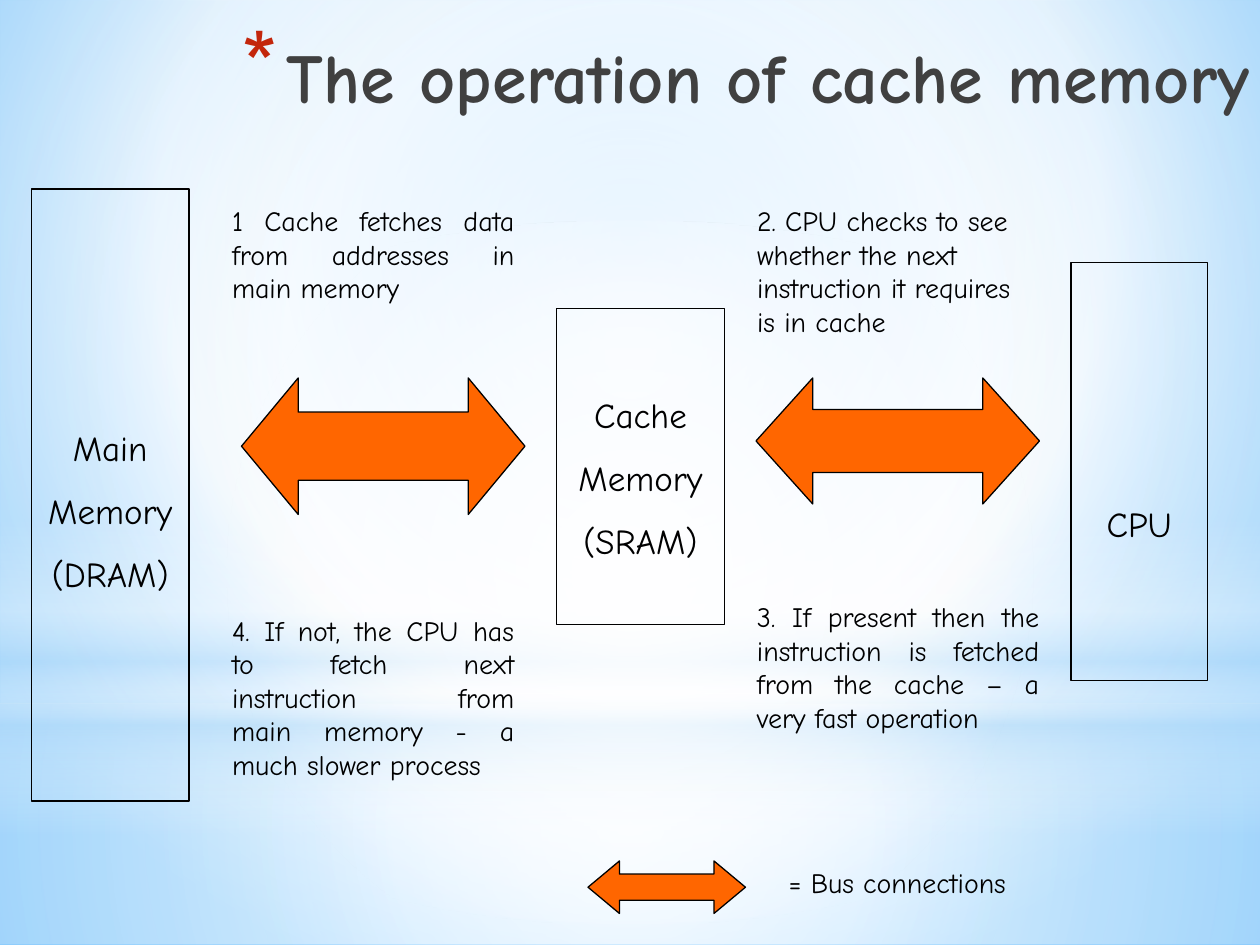
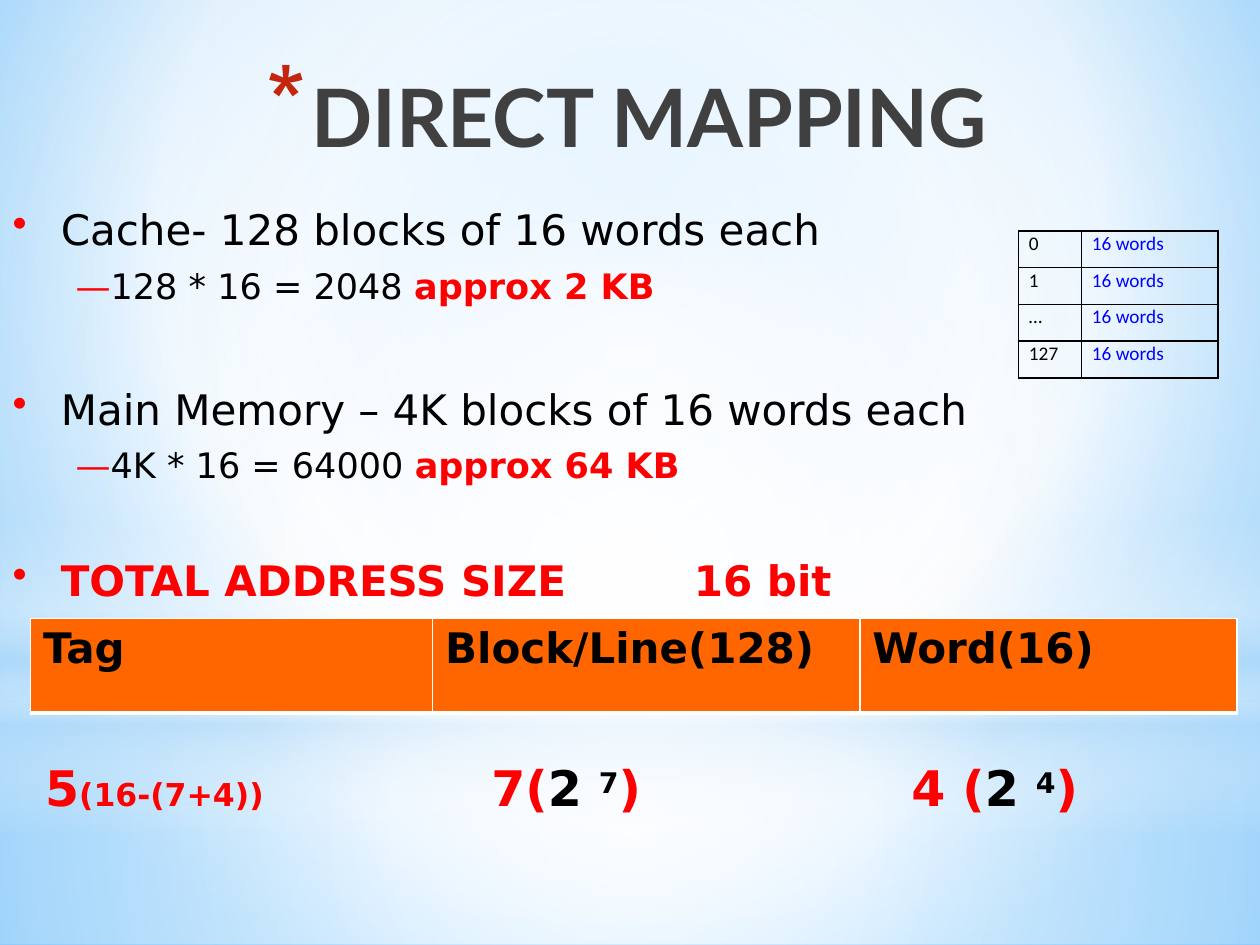
import copy
import lxml.etree
import pptx
import pptx.dml.color
import pptx.enum.shapes
import pptx.enum.text
import pptx.oxml.ns
import pptx.util

HUE = dict(ink="000000", gray="404040", red="FF0000", star="C3260C", fire="FF6600",
           blue="0000FF", white="FFFFFF", sky="B4DCFA", pale="9ED5FF", deep="5BB9FF")
SIDE = dict(l="lnL", r="lnR", t="lnT", b="lnB")
COMIC, SANS, LATO, CALI = "Comic Neue", "DejaVu Sans", "Lato", "Calibri"
SHAPE = pptx.enum.shapes.MSO_SHAPE
ALIGN = pptx.enum.text.PP_ALIGN
COLS, ROWS = 120, 90
MID = (50, 50, 50, 50)


def unit(n):
    return pptx.util.Inches(n * 10 / COLS)


def paint(hue):
    return pptx.dml.color.RGBColor.from_string(HUE[hue])


def node(top, tag, **attrs):
    attrs = {key: str(val) for key, val in attrs.items()}
    return lxml.etree.SubElement(top, pptx.oxml.ns.qn("a:" + tag), attrs)


def tint(top, hue, alpha=100):
    clr = node(top, "srgbClr", val=HUE[hue])
    if alpha < 100:
        node(clr, "alpha", val=alpha * 1000)


def fade(fill, root, stops, focus=None):
    fill.gradient()
    grad = next(root.iter(pptx.oxml.ns.qn("a:gradFill")))
    for kid in list(grad):
        grad.remove(kid)
    steps = node(grad, "gsLst")
    for pos, *tone in stops:
        tint(node(steps, "gs", pos=pos * 1000), *tone)
    if focus:
        ring = node(grad, "path", path="circle")
        node(ring, "fillToRect", **{k: v * 1000 for k, v in zip("ltrb", focus)})
    else:
        node(grad, "lin", ang=5400000, scaled=0)


def put(para, text, font=SANS, size=16, hue="ink", bold=False, base=0):
    for i, part in enumerate(text.split("\n")):
        if i:
            para.add_line_break()
        run = para.add_run()
        run.text = part
        run.font.name = font
        run.font.size = pptx.util.Pt(size)
        run.font.bold = bold
        run.font.color.rgb = paint(hue)
        if base:
            run._r.get_or_add_rPr().set("baseline", str(base * 1000))
    for br in para._p.findall(pptx.oxml.ns.qn("a:br")):
        br.append(copy.deepcopy(run._r.rPr))


class Deck:
    def __init__(self):
        self.prs = pptx.Presentation()
        self.prs.slide_width, self.prs.slide_height = unit(COLS), unit(ROWS)

    def slide(self):
        self.page = self.prs.slides.add_slide(self.prs.slide_layouts[6])
        fade(self.page.background.fill, self.page._element,
             [(0, "pale"), (60, "white"), (100, "deep")], (20, 10, 20, 60))
        rect = SHAPE.RECTANGLE
        layers = [
            (rect, 67, 23, [(0, "white", 91), (37, "white", 76), (100, "sky", 79)], MID),
            (rect, 0, 67, [(0, "white", 89), (48, "white", 62), (100, "sky", 79)], MID),
            (rect, 49.5, 30, [(0, "white", 0), (29, "white", 30), (45, "sky", 40),
                              (55, "white", 26), (65, "sky", 60), (100, "white", 0)], None),
            (SHAPE.OVAL, 21, 67, [(0, "white"), (56, "white", 0)], MID)]
        for kind, y, h, stops, focus in layers:
            band = self.shape(kind, 0, y, COLS, h)
            fade(band.fill, band._element, stops, focus)

    def shape(self, kind, x, y, w, h, fill=None, line=None):
        item = self.page.shapes.add_shape(kind, *map(unit, (x, y, w, h)))
        item.shadow.inherit = False
        if fill:
            item.fill.solid()
            item.fill.fore_color.rgb = paint(fill)
        else:
            item.fill.background()
        if line:
            item.line.color.rgb = paint(line)
            item.line.width = pptx.util.Pt(0.75)
        else:
            item.line.fill.background()
        return item

    def clear(self, frame, top=0):
        frame.word_wrap = True
        frame.margin_left = frame.margin_right = frame.margin_bottom = 0
        frame.margin_top = unit(top)
        return frame

    def frame(self, x, y, w, h):
        item = self.page.shapes.add_textbox(*map(unit, (x, y, w, h)))
        return self.clear(item.text_frame)

    def para(self, frame, *runs, align=ALIGN.LEFT, gap=0, left=0, hang=0,
             mark=None, tone="red", scale=100, tab=None):
        para = frame.paragraphs[0]
        if para.runs:
            para = frame.add_paragraph()
        para.alignment = align
        if gap:
            para.space_before = pptx.util.Pt(gap)
        props = para._p.get_or_add_pPr()
        props.set("marL", str(unit(left)))
        props.set("indent", str(unit(hang)))
        if mark:
            tint(node(props, "buClr"), tone)
            node(props, "buSzPct", val=scale * 1000)
            node(props, "buChar", char=mark)
        if tab:
            node(node(props, "tabLst"), "tab", pos=unit(tab), algn="l")
        for text, form in runs:
            put(para, text, **form)

    def title(self, x, y, w, h, text, font, size):
        form = dict(font=font, size=size, hue="gray", bold=True)
        self.para(self.frame(x, y, w, h), (text, form), align=ALIGN.RIGHT,
                  left=0.1, hang=-4.2, mark="*", tone="star", scale=128)

    def note(self, x, y, w, h, text, align=ALIGN.LEFT):
        self.para(self.frame(x, y, w, h), (text, dict(font=COMIC)), align=align)

    def block(self, x, y, w, h, text, top=0):
        item = self.shape(SHAPE.RECTANGLE, x, y, w, h, line="ink")
        frame = self.clear(item.text_frame, top)
        frame.vertical_anchor = pptx.enum.text.MSO_ANCHOR.MIDDLE
        self.para(frame, (text, dict(font=COMIC, size=20)), align=ALIGN.CENTER)
        if "\n" in text:
            frame.paragraphs[0].line_spacing = 1.5

    def arrow(self, x, y, w, h):
        item = self.shape(SHAPE.LEFT_RIGHT_ARROW, x, y, w, h, "fire", "ink")
        item.adjustments[0] = 0.5
        item.adjustments[1] = 0.2 * w / h

    def table(self, x, y, wide, high, rows, forms, pad, top, edge, fill=None, **thick):
        grid = self.page.shapes.add_table(
            len(rows), len(wide), *map(unit, (x, y, sum(wide), high * len(rows)))).table
        grid.first_row = grid.horz_banding = False
        for col, w in zip(grid.columns, wide):
            col.width = unit(w)
        for r, row in enumerate(rows):
            grid.rows[r].height = unit(high)
            for c, text in enumerate(row):
                cell = grid.cell(r, c)
                cell.margin_left, cell.margin_top = unit(pad), unit(top)
                cell.margin_right = cell.margin_bottom = 0
                put(cell.text_frame.paragraphs[0], text, **forms[c])
                props = cell._tc.get_or_add_tcPr()
                for side, tag in SIDE.items():
                    width = pptx.util.Pt(thick.get(side, 1))
                    tint(node(node(props, tag, w=width), "solidFill"), edge)
                if fill:
                    cell.fill.solid()
                    cell.fill.fore_color.rgb = paint(fill)
                else:
                    cell.fill.background()


def cache(deck):
    deck.slide()
    deck.title(7, 3.2, 112, 8.3, "The operation of cache memory", COMIC, 40)
    just = ALIGN.JUSTIFY
    deck.note(22.1, 19.4, 26.9, 10,
              "1 Cache fetches data\nfrom addresses in\nmain memory", just)
    deck.note(72.1, 19.4, 26, 13, "2. CPU checks to see\nwhether the next\n"
              "instruction it requires\nis in cache")
    deck.note(72.1, 57.1, 26.9, 16.3, "3. If present then the\ninstruction is fetched\n"
              "from the cache – a\nvery fast operation", just)
    deck.note(22.1, 58.4, 26.9, 16.3, "4. If not, the CPU has\nto fetch next\n"
              "instruction from\nmain memory - a\nmuch slower process", just)
    deck.block(3, 18, 15, 58.3, "Main\nMemory\n(DRAM)", 1)
    deck.block(102, 25, 13, 39.8, "CPU", 10)
    deck.block(53, 29.4, 16, 30.1, "Cache\nMemory\n(SRAM)")
    deck.arrow(23, 36, 27, 13)
    deck.arrow(72, 36, 27, 12)
    deck.arrow(56, 82, 15, 5)
    deck.note(75.1, 82.4, 22, 3.5, "= Bus connections")


def direct(deck):
    deck.slide()
    deck.title(6.4, 6.4, 87.6, 9.5, "DIRECT MAPPING", LATO, 46)
    big, small = dict(size=24), dict(size=20)
    red = dict(hue="red", bold=True)
    dot = dict(left=4.7, hang=-4.6, mark="•")
    body = deck.frame(1.1, 19.4, 107, 40)
    facts = [("Cache- 128 blocks of 16 words each", "128 * 16 = 2048 ", "approx 2 KB", 0),
             ("Main Memory – 4K blocks of 16 words each", "4K * 16 = 64000 ",
              "approx 64 KB", 44)]
    for head, sum_, size, gap in facts:
        deck.para(body, (head, big), gap=gap, **dot)
        deck.para(body, ("—", dict(small, hue="red")), (sum_, small),
                  (size, small | red), gap=5.8, left=6.1)
    deck.para(body, ("TOTAL ADDRESS SIZE\t16 bit", big | red), gap=39, tab=65, **dot)
    large = dict(size=28, bold=True)
    glow = large | red
    deck.para(deck.frame(4.3, 72.1, 24, 6), ("5", glow), ("(16-(7+4))", dict(red, size=18)))
    for x, head, power in [(46.8, "7(", "7"), (86.8, "4 (", "4")]:
        deck.para(deck.frame(x, 72.1, 18, 6), (head, glow), ("2 ", large),
                  (power, dict(large, base=26)), (")", glow))
    deck.table(2.9, 58.9, (38.3, 40.7, 35.9), 9, [("Tag", "Block/Line(128)", "Word(16)")],
               [dict(big, bold=True)] * 3, 1.2, 0.6, "white", "fire", b=3)
    tiny = dict(font=CALI, size=11)
    deck.table(97, 22, (6, 13), 3.5, [(n, "16 words") for n in ("0", "1", "…", "127")],
               [tiny, dict(tiny, hue="blue")], 1, 0.1, "ink")


def main():
    deck = Deck()
    cache(deck)
    direct(deck)
    deck.prs.save("out.pptx")


if __name__ == "__main__":
    main()
